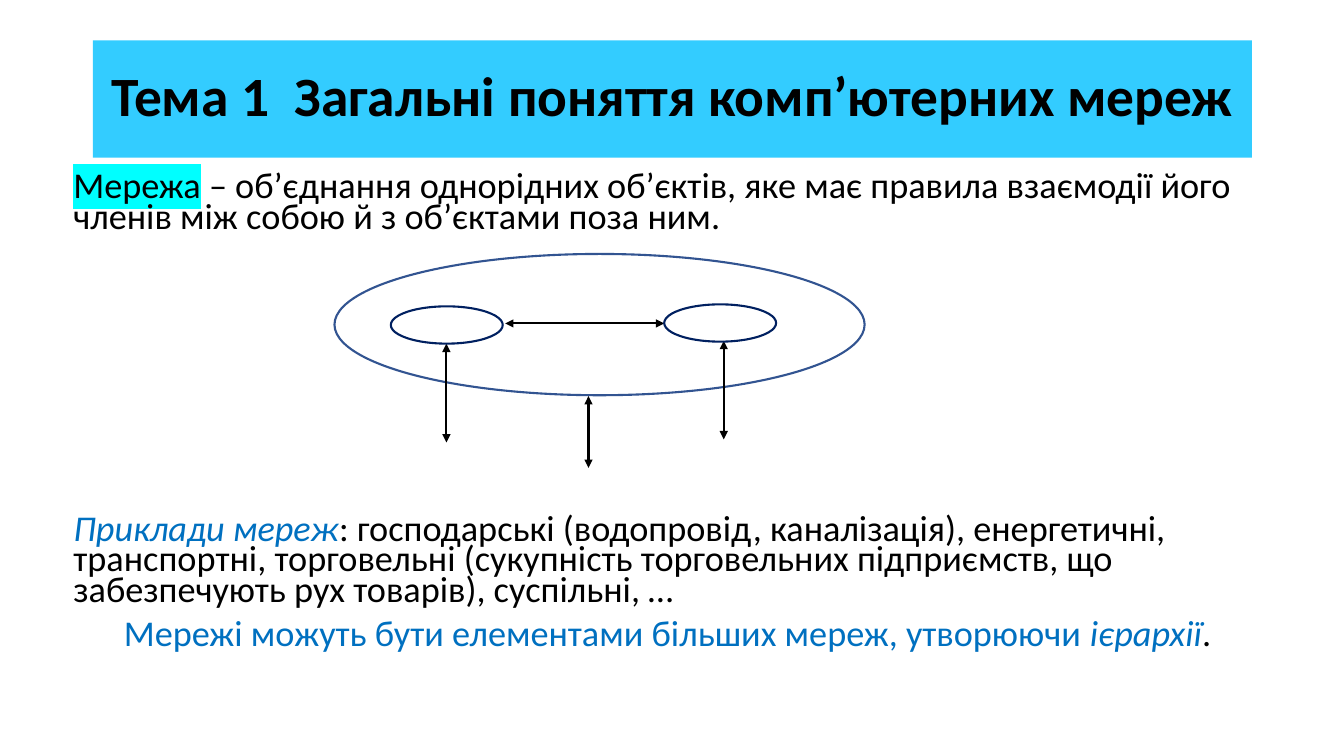
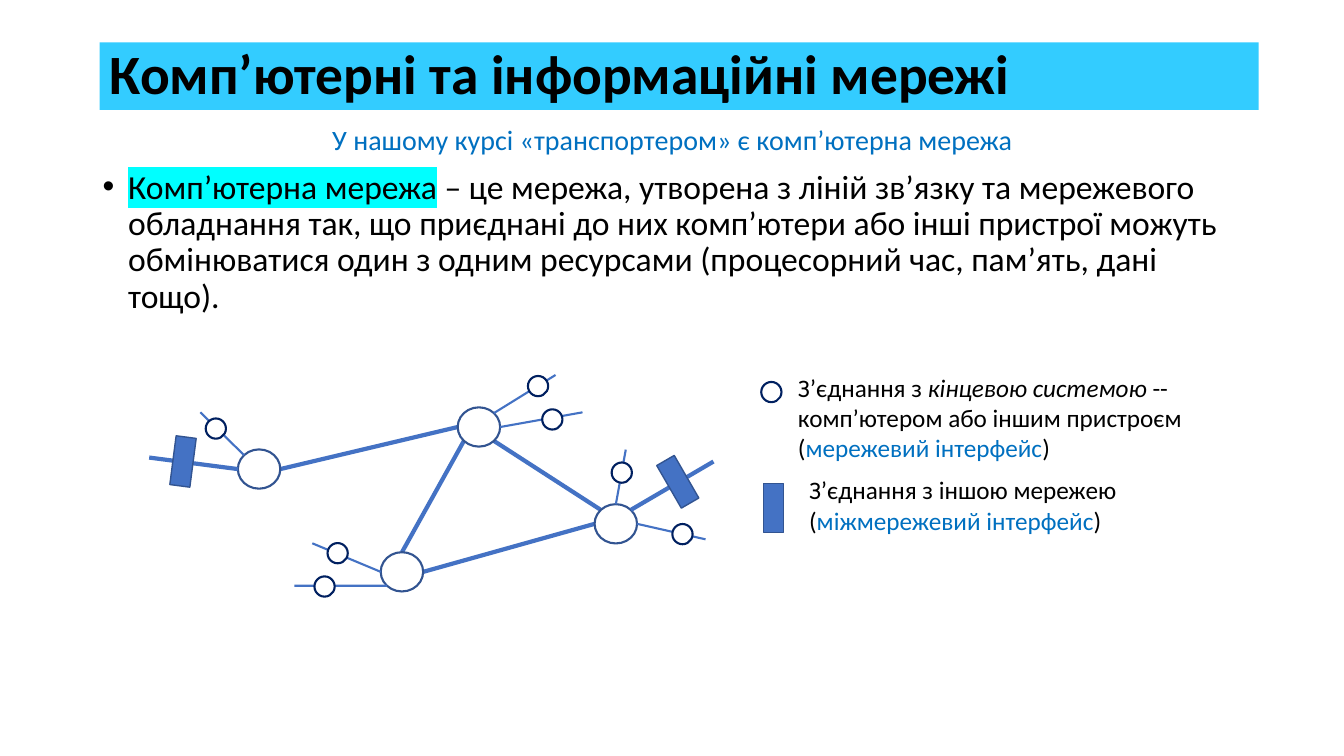
from pptx import Presentation
from pptx.dml.color import RGBColor
from pptx.enum.shapes import MSO_CONNECTOR, MSO_SHAPE
from pptx.enum.text import MSO_ANCHOR, MSO_AUTO_SIZE, PP_ALIGN
from pptx.oxml.ns import qn
from pptx.util import Cm, Pt
from lxml.etree import SubElement

HUES = {
    "band": "33CCFF", "text": "000000", "term": "0070C0", "mark": "00FFFF",
    "edge": "325491", "navy": "002060", "blue": "4472C4", "white": "FFFFFF",
}
FONT = "Calibri"
HUB = (1.07, 0.99)
NODE = (0.51, 0.51)
GATE = (1.24, 0.51)
DIAG = 0.71
SIDES = {
    "top": (0, -1), "left": (-1, 0), "right": (1, 0),
    "nw": (-DIAG, -DIAG), "ne": (DIAG, -DIAG),
    "sw": (-DIAG, DIAG), "se": (DIAG, DIAG),
}
TERM = {"hue": "term"}
SLANT = {"italic": True}
MARK = {"mark": True}


def tint(name):
    return RGBColor.from_string(HUES[name])


def apply(target, values):
    for name, value in values.items():
        setattr(target, name, value)


def rim(hub, side):
    """Point on the edge of a hub, given the hub's centre."""
    return tuple(c + size / 2 * way for c, size, way in zip(hub, HUB, SIDES[side]))


class Deck:
    def __init__(self):
        self.prs = Presentation()
        apply(self.prs, {"slide_width": Cm(33.87), "slide_height": Cm(19.05)})
        self.slide = None

    def start(self, text, left, top, height, align):
        """Add a slide with its title band."""
        self.slide = self.prs.slides.add_slide(self.prs.slide_layouts[5])
        title = self.slide.shapes.title
        apply(title, {"left": Cm(left), "top": Cm(top),
                      "width": Cm(29.21), "height": Cm(height)})
        title.fill.solid()
        title.fill.fore_color.rgb = tint("band")
        apply(title.text_frame, {"vertical_anchor": MSO_ANCHOR.MIDDLE,
                                 "word_wrap": True,
                                 "auto_size": MSO_AUTO_SIZE.NONE})
        para = title.text_frame.paragraphs[0]
        apply(para, {"alignment": align, "line_spacing": 0.9})
        self.run(para, text, 39.6, bold=True)

    def run(self, para, text, size, hue="text", mark=False, **style):
        run = para.add_run()
        run.text = text
        apply(run.font, {"name": FONT, "size": Pt(size), **style})
        run.font.color.rgb = tint(hue)
        if mark:
            props = run.font.fill and run._r.get_or_add_rPr()
            glow = SubElement(props, qn("a:highlight"))
            SubElement(glow, qn("a:srgbClr"), val=HUES["mark"])
            props.find(qn("a:latin")).addprevious(glow)

    def text(self, box, paras):
        """Add a text box; each paragraph is (runs, size, format values)."""
        frame = self.slide.shapes.add_textbox(*map(Cm, box)).text_frame
        frame.word_wrap = True
        for i, (runs, size, form) in enumerate(paras):
            para = frame.add_paragraph() if i else frame.paragraphs[0]
            apply(para, form)
            for words, style in runs:
                self.run(para, words, size, **style)
        return frame

    def bullet(self, para):
        props = para._p.get_or_add_pPr()
        props.set("marL", str(Cm(0.64)))
        props.set("indent", str(-Cm(0.64)))
        SubElement(props, qn("a:buFont"), typeface="Arial")
        SubElement(props, qn("a:buChar"), char="•")

    def shape(self, kind, mid, size, edge, fill=None, width=1.5, turn=0):
        """Add a preset shape around its centre."""
        spot = [c - s / 2 for c, s in zip(mid, size)]
        item = self.slide.shapes.add_shape(kind, *map(Cm, (*spot, *size)))
        item.shadow.inherit = False
        item.rotation = turn
        if fill:
            item.fill.solid()
            item.fill.fore_color.rgb = tint(fill)
        else:
            item.fill.background()
        item.line.color.rgb = tint(edge)
        item.line.width = Pt(width)

    def oval(self, mid, size, edge="edge"):
        self.shape(MSO_SHAPE.OVAL, mid, size, edge)

    def node(self, mid):
        self.shape(MSO_SHAPE.OVAL, mid, NODE, "navy", "white")

    def gate(self, mid, turn):
        self.shape(MSO_SHAPE.RECTANGLE, mid, GATE, "edge", "blue", 1, turn)

    def line(self, start, end, hue="blue", width=1.5, heads=False):
        item = self.slide.shapes.add_connector(
            MSO_CONNECTOR.STRAIGHT, *map(Cm, (*start, *end)))
        item.line.color.rgb = tint(hue)
        item.line.width = Pt(width)
        props = item._element.spPr
        if heads:
            for tag in ("a:headEnd", "a:tailEnd"):
                SubElement(props.find(qn("a:ln")), qn(tag), type="triangle")
        SubElement(props, qn("a:effectLst"))


def basics(deck):
    deck.start("Тема 1  Загальні поняття комп’ютерних мереж",
               2.34, 1.02, 2.95, PP_ALIGN.CENTER)
    tight = {"line_spacing": 0.7, "space_before": Pt(10)}
    deck.text((1.6, 4.27, 30.45, 12.88), [
        ([("Мережа", MARK),
          (" – об’єднання однорідних об’єктів, яке має правила взаємодії "
           "його членів між собою й з об’єктами поза ним.", {})], 25.9, tight),
        ([("Приклади мереж", {**TERM, **SLANT}),
          (": господарські (водопровід, каналізація), енергетичні, "
           "транспортні, торговельні (сукупність торговельних підприємств, "
           "що забезпечують рух товарів), суспільні, …", {})],
         25.9, {**tight, "space_before": Pt(201)}),
        ([("Мережі можуть бути елементами більших мереж, утворюючи ", TERM),
          ("ієрархії", {**TERM, **SLANT}), (".", {})],
         25.9, {**tight, "alignment": PP_ALIGN.CENTER}),
    ])
    deck.oval((15.11, 8.18), (13.36, 3.56))
    for start, end in [((11.25, 8.66), (11.25, 11.15)),
                       ((14.83, 9.98), (14.83, 11.79)),
                       ((12.73, 8.15), (16.74, 8.15)),
                       ((18.24, 8.59), (18.24, 11.07))]:
        deck.line(start, end, "text", heads=True)
    for mid in [(11.26, 8.19), (18.15, 8.14)]:
        deck.oval(mid, (2.82, 0.94), "navy")


def network(deck):
    deck.start("Комп’ютерні та інформаційні мережі",
               2.51, 1.07, 1.7, PP_ALIGN.LEFT)
    loose = {"line_spacing": 0.9, "space_before": Pt(10)}
    frame = deck.text((2.34, 3.05, 29.21, 5.2), [
        ([("У нашому курсі «транспортером» є комп’ютерна мережа", TERM)],
         20, {**loose, "alignment": PP_ALIGN.CENTER}),
        ([("Комп’ютерна мережа", MARK),
          (" – це мережа, утворена з ліній зв’язку та мережевого обладнання "
           "так, що приєднані до них комп’ютери або інші пристрої можуть "
           "обмінюватися один з одним ресурсами (процесорний час, пам’ять, "
           "дані тощо).", {})], 24, loose),
    ])
    deck.bullet(frame.paragraphs[1])

    hubs = {"west": (6.53, 11.82), "north": (12.07, 10.76),
            "south": (10.13, 14.41), "east": (15.52, 13.2)}
    for hub, side, peer, face in [("west", "right", "north", "left"),
                                  ("north", "sw", "south", "top"),
                                  ("north", "se", "east", "nw"),
                                  ("south", "right", "east", "left")]:
        deck.line(rim(hubs[hub], side), rim(hubs[peer], face), width=3)
    for mid in hubs.values():
        deck.oval(mid, HUB)
    for hub, side, end, mid in [
            ("west", "nw", (5.05, 10.39), (5.44, 10.8)),
            ("north", "ne", (14, 9.45), (13.56, 9.73)),
            ("north", "right", (14.68, 10.39), (13.92, 10.57)),
            ("south", "left", (7.87, 13.69), (8.51, 13.94)),
            ("south", "sw", (7.42, 14.76), (8.18, 14.78)),
            ("east", "right", (17.78, 13.59), (17.2, 13.46)),
            ("east", "top", (15.77, 11.33), (15.67, 11.91))]:
        deck.line(rim(hubs[hub], side), end)
        deck.node(mid)
    for hub, side, end, mid, turn in [
            ("west", "left", (3.76, 11.53), (4.61, 11.63), 97.4),
            ("east", "ne", (17.98, 11.63), (17.08, 12.14), 60)]:
        deck.line(rim(hubs[hub], side), end, width=3)
        deck.gate(mid, turn)

    deck.node((19.44, 9.88))
    deck.gate((19.49, 12.8), 90)
    for box, runs in [
            ((19.86, 9.25, 10.67, 2.57),
             [("З’єднання з ", {}), ("кінцевою системою", SLANT),
              (" -- комп’ютером або іншим пристроєм (", {}),
              ("мережевий інтерфейс", TERM), (")", {})]),
            ((20.14, 11.84, 9.32, 1.8),
             [("З’єднання з іншою мережею (", {}),
              ("міжмережевий інтерфейс", TERM), (")", {})])]:
        deck.text(box, [(runs, 18, {})])


def main():
    deck = Deck()
    basics(deck)
    network(deck)
    deck.prs.save("out.pptx")


if __name__ == "__main__":
    main()
